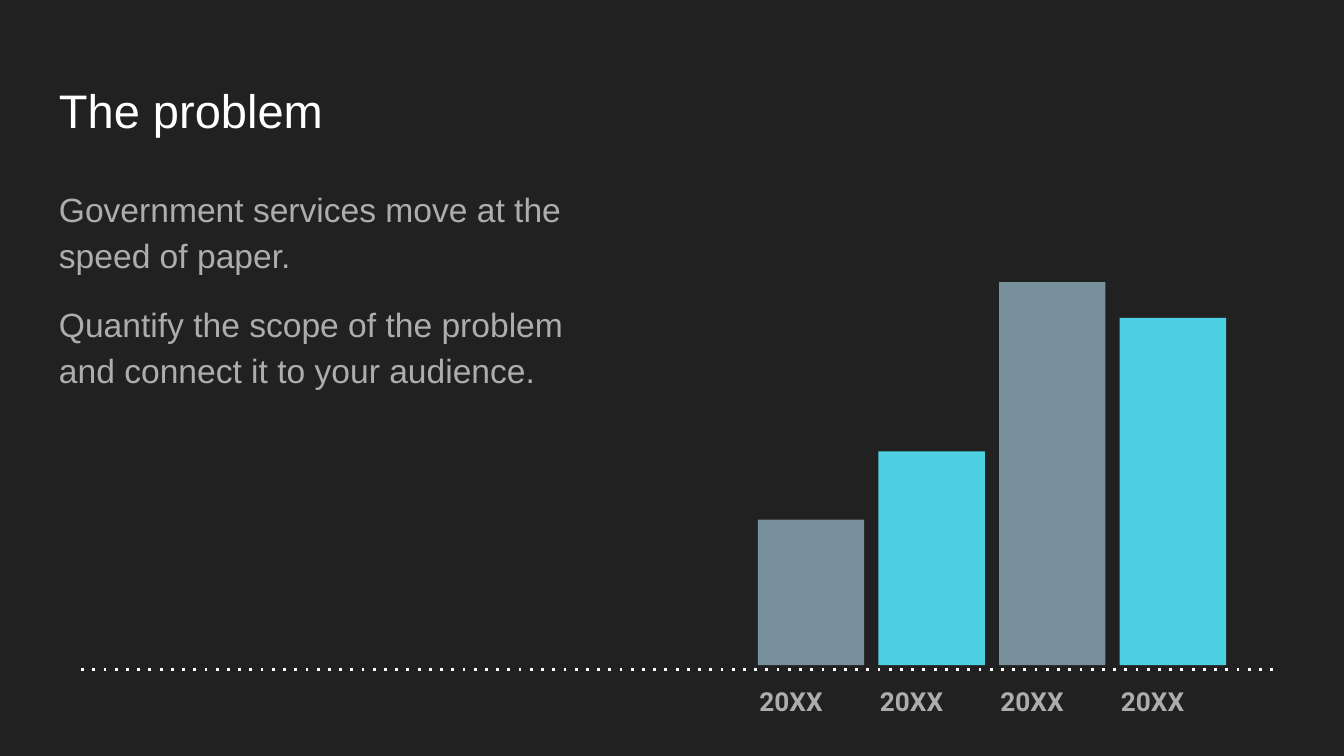
"""Build the problem slide: a statement beside four yearly bars."""
from dataclasses import dataclass

import lxml.etree
import pptx
import pptx.dml.color
import pptx.enum.dml
import pptx.enum.shapes
import pptx.enum.text
import pptx.oxml.ns
import pptx.slide
import pptx.text.text
import pptx.util

Pt = pptx.util.Pt
RGBColor = pptx.dml.color.RGBColor
MSO_ANCHOR = pptx.enum.text.MSO_ANCHOR
qn = pptx.oxml.ns.qn

BACKGROUND = RGBColor(0x21, 0x21, 0x21)
WHITE = RGBColor(0xFF, 0xFF, 0xFF)
GREY = RGBColor(0xAD, 0xAD, 0xAD)
SLATE = RGBColor(0x78, 0x90, 0x9C)
CYAN = RGBColor(0x4D, 0xD0, 0xE1)

INSET = 7.2
BAR_LEFT = 406
BAR_WIDTH = 57
BAR_PITCH = 64.6
BAR_BASE = 356.4
AXIS_Y = 358.5


@dataclass(frozen=True)
class Bar:
    year: str
    height: float
    color: RGBColor


@dataclass(frozen=True)
class TextBlock:
    left: float
    top: float
    width: float
    height: float
    paragraphs: tuple[str, ...]
    size: float
    color: RGBColor
    line_spacing: float
    anchor: MSO_ANCHOR


BARS = (
    Bar("20XX", 78, SLATE),
    Bar("20XX", 114.6, CYAN),
    Bar("20XX", 205.3, SLATE),
    Bar("20XX", 186, CYAN),
)

TEXT_BLOCKS = (
    TextBlock(24.5, 36, 671, 45.4, ("The problem",), 25.2, WHITE, 1,
              MSO_ANCHOR.MIDDLE),
    TextBlock(24.5, 90.7, 315, 269,
              ("Government services move at the speed of paper.",
               "Quantify the scope of the problem and connect it to your audience."),
              18, GREY, 1.15, MSO_ANCHOR.TOP),
)


def style_paragraph(paragraph: pptx.text.text._Paragraph, font_name: str, size: float,
                    color: RGBColor, line_spacing: float, bold: bool = False) -> None:
    paragraph.line_spacing = line_spacing
    for run in paragraph.runs:
        run.font.name = font_name
        run.font.size = Pt(size)
        run.font.bold = bold
        run.font.color.rgb = color


def draw_text(slide: pptx.slide.Slide, block: TextBlock) -> None:
    frame = slide.shapes.add_textbox(
        Pt(block.left), Pt(block.top), Pt(block.width), Pt(block.height)).text_frame
    frame.word_wrap = True
    frame.vertical_anchor = block.anchor
    frame.margin_left = frame.margin_right = Pt(INSET)
    frame.margin_top = frame.margin_bottom = Pt(INSET)
    frame.text = "\n".join(block.paragraphs)
    for index, paragraph in enumerate(frame.paragraphs):
        style_paragraph(paragraph, "Arial", block.size, block.color, block.line_spacing)
        if index:
            paragraph.space_before = paragraph.space_after = Pt(12)


def draw_years(slide: pptx.slide.Slide, bars: tuple[Bar, ...]) -> None:
    years = slide.shapes.add_table(
        1, len(bars), Pt(399.6), Pt(AXIS_Y), Pt(BAR_PITCH * len(bars)), Pt(18.7)).table
    years.first_row = years.horz_banding = False
    for column, bar in enumerate(bars):
        years.columns[column].width = Pt(BAR_PITCH)
        cell = years.cell(0, column)
        cell.margin_left = cell.margin_right = Pt(INSET)
        cell.margin_top = cell.margin_bottom = Pt(INSET)
        cell.text_frame.text = bar.year
        style_paragraph(cell.text_frame.paragraphs[0], "Roboto", 14, GREY, 1.15, bold=True)
        properties = cell._tc.get_or_add_tcPr()
        for side in ("a:lnL", "a:lnR", "a:lnT", "a:lnB"):
            border = lxml.etree.SubElement(properties, qn(side))
            lxml.etree.SubElement(border, qn("a:noFill"))
        cell.fill.background()


def draw_bar(slide: pptx.slide.Slide, bar: Bar, left: float) -> None:
    column = slide.shapes.add_shape(
        pptx.enum.shapes.MSO_SHAPE.RECTANGLE,
        Pt(left), Pt(BAR_BASE - bar.height), Pt(BAR_WIDTH), Pt(bar.height))
    column.shadow.inherit = False
    column.fill.solid()
    column.fill.fore_color.rgb = bar.color
    column.line.fill.background()


def draw_axis(slide: pptx.slide.Slide) -> None:
    axis = slide.shapes.add_connector(
        pptx.enum.shapes.MSO_CONNECTOR.STRAIGHT,
        Pt(682), Pt(AXIS_Y), Pt(40.5), Pt(AXIS_Y))
    axis.line.color.rgb = WHITE
    axis.line.width = Pt(1.5)
    axis.line.dash_style = pptx.enum.dml.MSO_LINE.ROUND_DOT
    lxml.etree.SubElement(axis._element.spPr, qn("a:effectLst"))
    axis_dash = axis._element.spPr.find(".//" + qn("a:prstDash"))
    axis_dash.set("val", "dot")


def main() -> None:
    presentation = pptx.Presentation()
    presentation.slide_width = Pt(720)
    presentation.slide_height = Pt(405)
    slide = presentation.slides.add_slide(presentation.slide_layouts[6])
    slide.background.fill.solid()
    slide.background.fill.fore_color.rgb = BACKGROUND

    for block in TEXT_BLOCKS:
        draw_text(slide, block)
    draw_years(slide, BARS)
    for index, bar in enumerate(BARS):
        draw_bar(slide, bar, BAR_LEFT + index * BAR_PITCH)
    draw_axis(slide)
    presentation.save("out.pptx")


if __name__ == "__main__":
    main()
